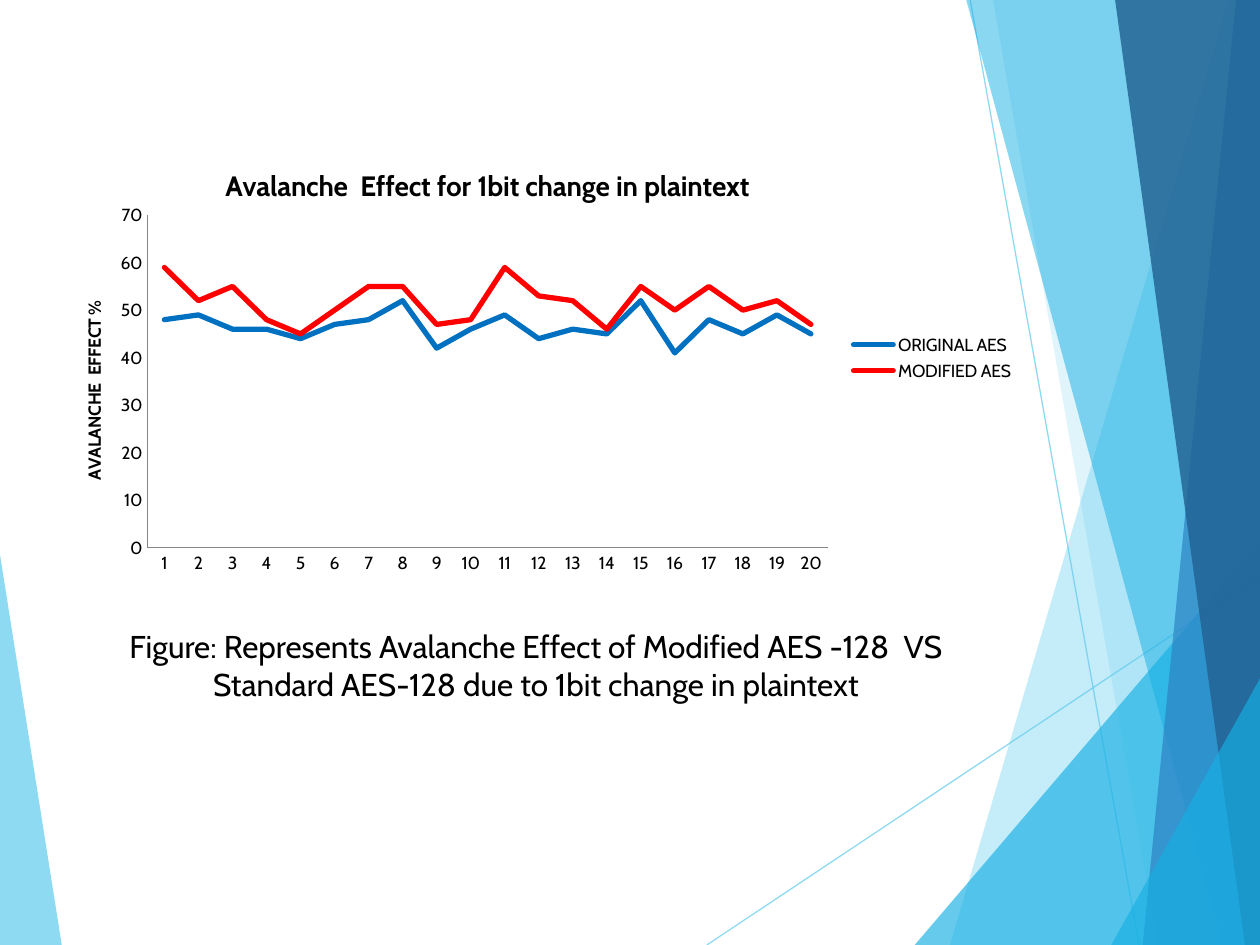
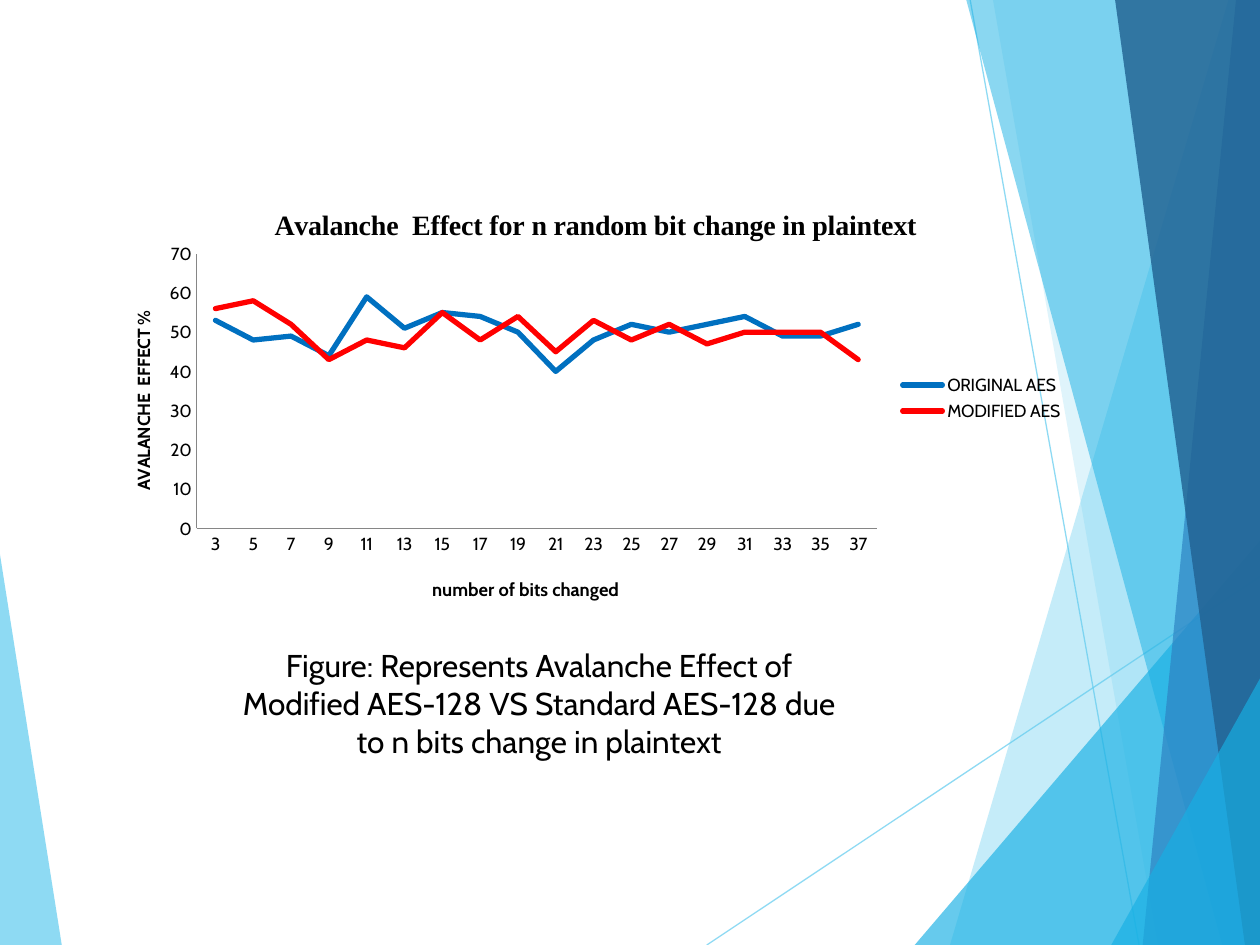
from dataclasses import dataclass
from typing import Any

from lxml import etree
from pptx import Presentation
from pptx.chart.chart import Chart
from pptx.chart.data import CategoryChartData
from pptx.dml.color import RGBColor
from pptx.enum.chart import XL_CHART_TYPE, XL_LEGEND_POSITION, XL_TICK_MARK
from pptx.enum.shapes import MSO_CONNECTOR
from pptx.enum.text import PP_ALIGN
from pptx.oxml.ns import qn
from pptx.slide import Slide
from pptx.util import Pt

LINE_CHART = XL_CHART_TYPE.LINE
LEGEND_RIGHT = XL_LEGEND_POSITION.RIGHT
NO_TICKS = XL_TICK_MARK.NONE
STRAIGHT = MSO_CONNECTOR.STRAIGHT
CENTER = PP_ALIGN.CENTER

SLIDE_WIDTH, SLIDE_HEIGHT = 720, 540
CHART_WIDTH, CHART_HEIGHT = 561, 255
BODY_FONT = "Cabin"
SERIF_FONT = "Times New Roman"
BLACK = "000000"
AXIS_GREY = "868686"
SKY = "5FCBEF"
CYAN = "17B0E4"
BLUE = "2E83C3"
NAVY = "226292"
SERIES_COLORS = {"ORIGINAL AES": "0070C0", "MODIFIED AES": "FF0000"}

Point = tuple[float, float]


@dataclass(frozen=True)
class Facet:
    points: tuple[Point, ...]
    color: str
    opacity: int


@dataclass(frozen=True)
class ThinLine:
    start: Point
    end: Point


@dataclass(frozen=True)
class Caption:
    text: str
    left: float
    top: float
    width: float
    height: float


@dataclass(frozen=True)
class AvalancheChart:
    title: str
    title_font: str
    left: float
    top: float
    plot_top: float
    plot_height: float
    value_title_top: float
    categories: range
    original: list[int]
    modified: list[int]
    category_title: str = ""


LEFT_FACET = Facet(((0, 317), (35.3, 540), (0, 540)), SKY, 70)
THIN_LINES = [
    ThinLine((403.9, 540), (720.7, 329)),
    ThinLine((554.4, 0), (650.9, 540)),
]
RIGHT_FACETS = [
    Facet(((702, 0), (542.9, 540), (720, 540), (720, 0)), SKY, 36),
    Facet(((567.4, 0), (661.7, 540), (720, 540), (720, 0)), SKY, 20),
    Facet(((522.7, 540), (720, 309), (720, 540)), CYAN, 66),
    Facet(((552.2, 0), (698.4, 540), (720, 540), (720, 0)), CYAN, 50),
    Facet(((706.3, 0), (653, 540), (720, 540), (720, 0)), BLUE, 70),
    Facet(((637.2, 0), (711.4, 540), (720, 540), (720, 0)), NAVY, 82),
    Facet(((635, 540), (720, 387.7), (720, 540)), CYAN, 66),
]

ONE_BIT_CHART = AvalancheChart(
    "Avalanche  Effect for 1bit change in plaintext", BODY_FONT,
    left=25.9, top=77, plot_top=46, plot_height=190, value_title_top=93,
    categories=range(1, 21),
    original=[48, 49, 46, 46, 44, 47, 48, 52, 42, 46,
              49, 44, 46, 45, 52, 41, 48, 45, 49, 45],
    modified=[59, 52, 55, 48, 45, 50, 55, 55, 47, 48,
              59, 53, 52, 46, 55, 50, 55, 50, 52, 47],
)
ONE_BIT_CAPTION = Caption(
    "Figure: Represents Avalanche Effect of Modified AES -128  VS "
    "Standard AES-128 due to 1bit change in plaintext",
    48.2, 355, 516.2, 51,
)
RANDOM_BITS_CHART = AvalancheChart(
    "Avalanche  Effect for n random bit change in plaintext", SERIF_FONT,
    left=54, top=100, plot_top=45, plot_height=157, value_title_top=76,
    categories=range(3, 38, 2),
    original=[53, 48, 49, 44, 59, 51, 55, 54, 50,
              40, 48, 52, 50, 52, 54, 49, 49, 52],
    modified=[56, 58, 52, 43, 48, 46, 55, 48, 54,
              45, 53, 48, 52, 47, 50, 50, 50, 43],
    category_title="number of bits changed",
)
RANDOM_BITS_CAPTION = Caption(
    "Figure: Represents Avalanche Effect of Modified AES-128 VS "
    "Standard AES-128 due to n bits change in plaintext",
    127.4, 365.8, 361.4, 73,
)


def rgb(color: str) -> RGBColor:
    return RGBColor.from_string(color)


def set_attributes(target: Any, values: dict[str, Any]) -> None:
    for name, value in values.items():
        setattr(target, name, value)


def format_font(font: Any, size: float, name: str = BODY_FONT, bold: bool = False) -> None:
    set_attributes(font, {"name": name, "size": Pt(size), "bold": bold})
    font.color.rgb = rgb(BLACK)


def set_opacity(shape: Any, percent: int) -> None:
    for color in shape._element.spPr.iter(qn("a:srgbClr")):
        etree.SubElement(color, qn("a:alpha"), val=str(percent * 1000))


def draw_facet(slide: Slide, facet: Facet) -> None:
    points = [(Pt(x), Pt(y)) for x, y in facet.points]
    builder = slide.shapes.build_freeform(*points[0])
    builder.add_line_segments(points[1:], close=True)
    shape = builder.convert_to_shape()
    shape.shadow.inherit = False
    shape.fill.solid()
    shape.fill.fore_color.rgb = rgb(facet.color)
    shape.line.fill.background()
    set_opacity(shape, facet.opacity)


def draw_thin_line(slide: Slide, thin_line: ThinLine) -> None:
    ends = [Pt(value) for value in thin_line.start + thin_line.end]
    connector = slide.shapes.add_connector(STRAIGHT, *ends)
    connector.line.width = Pt(0.75)
    connector.line.color.rgb = rgb(SKY)
    set_opacity(connector, 70)
    etree.SubElement(connector._element.spPr, qn("a:effectLst"))


def draw_backdrop(slide: Slide) -> None:
    draw_facet(slide, LEFT_FACET)
    for thin_line in THIN_LINES:
        draw_thin_line(slide, thin_line)
    for facet in RIGHT_FACETS:
        draw_facet(slide, facet)


def draw_caption(slide: Slide, caption: Caption) -> None:
    box = slide.shapes.add_textbox(
        Pt(caption.left), Pt(caption.top), Pt(caption.width), Pt(caption.height))
    box.text_frame.word_wrap = True
    paragraph = box.text_frame.paragraphs[0]
    paragraph.alignment = CENTER
    run = paragraph.add_run()
    run.text = caption.text
    format_font(run.font, 18)


def place(element: Any, index: int, left: float, top: float,
          width: float = 0, height: float = 0) -> None:
    """Give a chart part a manual layout, in points from the chart's corner."""
    for existing in element.findall(qn("c:layout")):
        element.remove(existing)
    layout = etree.Element(qn("c:layout"))
    manual = etree.SubElement(layout, qn("c:manualLayout"))
    values = {"xMode": "edge", "yMode": "edge",
              "x": left / CHART_WIDTH, "y": top / CHART_HEIGHT}
    if width:
        values = {"layoutTarget": "inner", **values,
                  "w": width / CHART_WIDTH, "h": height / CHART_HEIGHT}
    for name, value in values.items():
        etree.SubElement(manual, qn(f"c:{name}"), val=str(value))
    element.insert(index, layout)


def write_chart_title(title: Any, text: str, size: float, left: float, top: float,
                      font_name: str = BODY_FONT) -> None:
    title.text_frame.text = text
    format_font(title.text_frame.paragraphs[0].runs[0].font, size, font_name, bold=True)
    place(title._element, 1, left, top)


def format_axes(chart: Chart, details: AvalancheChart) -> None:
    for axis in (chart.category_axis, chart.value_axis):
        set_attributes(axis, {
            "has_major_gridlines": False,
            "major_tick_mark": NO_TICKS,
            "minor_tick_mark": NO_TICKS,
        })
        axis.format.line.width = Pt(0.75)
        axis.format.line.color.rgb = rgb(AXIS_GREY)
    set_attributes(chart.value_axis,
                   {"minimum_scale": 0, "maximum_scale": 70, "major_unit": 10})
    value_title = chart.value_axis.axis_title
    write_chart_title(value_title, "AVALANCHE  EFFECT %", 10, 19, details.value_title_top)
    body = value_title._element.find(".//" + qn("a:bodyPr"))
    body.set("rot", "-5400000")
    body.set("vert", "horz")
    if details.category_title:
        write_chart_title(chart.category_axis.axis_title, details.category_title,
                          10.5, 191, 227)


def draw_chart(slide: Slide, details: AvalancheChart) -> None:
    data = CategoryChartData(number_format="0")
    data.categories = [str(category) for category in details.categories]
    for name, values in zip(SERIES_COLORS, (details.original, details.modified)):
        data.add_series(name, values)
    chart = slide.shapes.add_chart(
        LINE_CHART, Pt(details.left), Pt(details.top),
        Pt(CHART_WIDTH), Pt(CHART_HEIGHT), data).chart
    format_font(chart.font, 10)
    chart.has_title = True
    write_chart_title(chart.chart_title, details.title, 16, 100, 15.5, details.title_font)
    chart.has_legend = True
    set_attributes(chart.legend, {"position": LEGEND_RIGHT, "include_in_layout": False})
    format_axes(chart, details)
    chart.plots[0].vary_by_categories = False
    for series in chart.plots[0].series:
        series.smooth = False
        line = series.format.line
        line.width = Pt(3)
        line.color.rgb = rgb(SERIES_COLORS[series.name])
        line._get_or_add_ln().set("cap", "rnd")
    plot_area = chart._chartSpace.chart.plotArea
    place(plot_area, 0, 58.3, details.plot_top, 389, details.plot_height)


def main() -> None:
    presentation = Presentation()
    set_attributes(presentation,
                   {"slide_width": Pt(SLIDE_WIDTH), "slide_height": Pt(SLIDE_HEIGHT)})
    blank_layout = presentation.slide_layouts[6]
    for chart, caption in ((ONE_BIT_CHART, ONE_BIT_CAPTION),
                           (RANDOM_BITS_CHART, RANDOM_BITS_CAPTION)):
        slide = presentation.slides.add_slide(blank_layout)
        draw_backdrop(slide)
        draw_chart(slide, chart)
        draw_caption(slide, caption)
    presentation.save("out.pptx")


if __name__ == "__main__":
    main()
